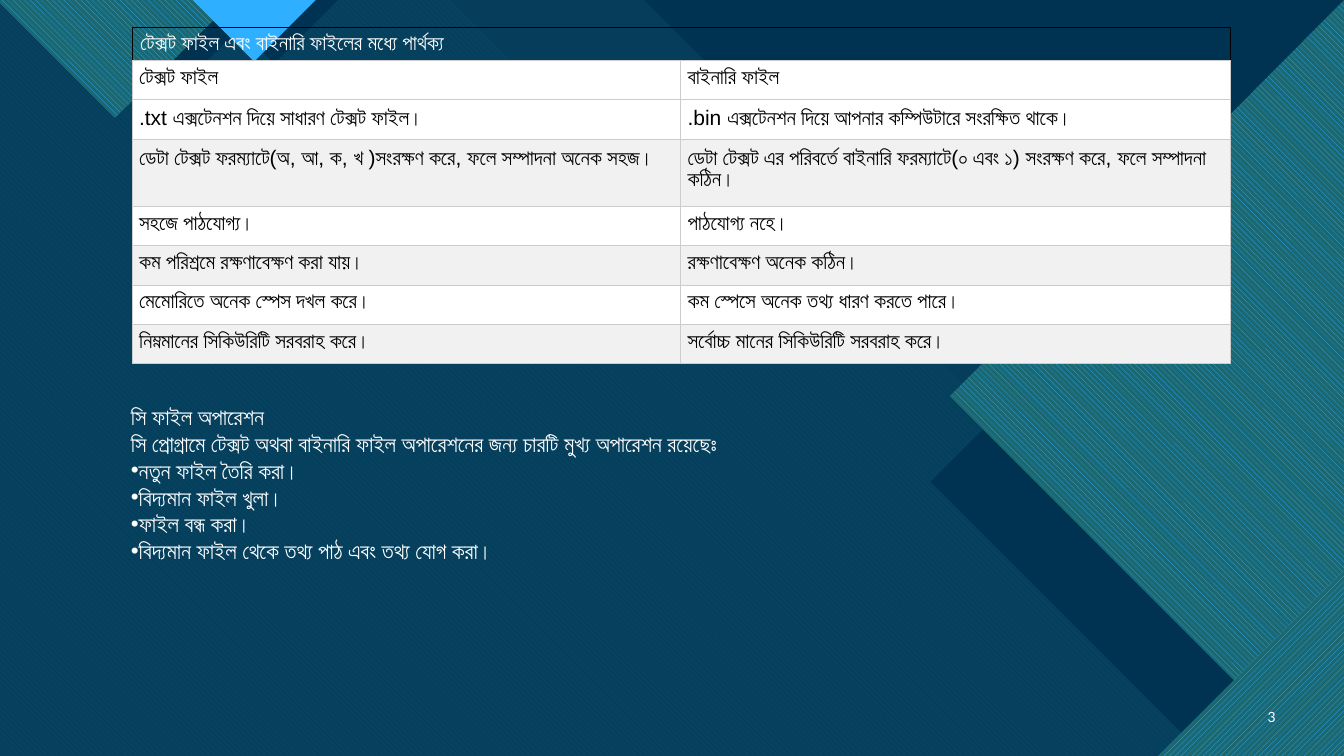
from dataclasses import dataclass
from math import cos, radians, sin
from typing import Optional

from lxml import etree
from pptx import Presentation
from pptx.dml.color import RGBColor
from pptx.enum.dml import MSO_PATTERN
from pptx.enum.shapes import MSO_SHAPE
from pptx.enum.text import MSO_ANCHOR, PP_ALIGN
from pptx.oxml.ns import qn
from pptx.util import Inches, Pt

RECTANGLE = MSO_SHAPE.RECTANGLE
RIGHT_TRIANGLE = MSO_SHAPE.RIGHT_TRIANGLE
DOWN_DIAGONAL = MSO_PATTERN.WIDE_DOWNWARD_DIAGONAL
UP_DIAGONAL = MSO_PATTERN.WIDE_UPWARD_DIAGONAL
HORIZONTAL = MSO_PATTERN.DARK_HORIZONTAL
TOP, MIDDLE = MSO_ANCHOR.TOP, MSO_ANCHOR.MIDDLE
LEFT, RIGHT = PP_ALIGN.LEFT, PP_ALIGN.RIGHT


@dataclass(frozen=True)
class Theme:
    base: str = "0C4360"
    navy: str = "003352"
    aqua: str = "47C3D3"
    blue: str = "0065A4"
    sky: str = "2FAFFF"
    teal: str = "1B6872"
    white: str = "FFFFFF"
    black: str = "000000"
    stripe: str = "F1F1F1"
    grid: str = "CCCCCC"
    table_font: str = "Arial"
    body_font: str = "Open Sans"
    number_font: str = "Lato"
    table_size: int = 15
    body_size: int = 16
    number_size: int = 10


THEME = Theme()


@dataclass(frozen=True)
class Paint:
    color: str
    opacity: int = 100
    pattern: Optional[MSO_PATTERN] = None
    back: str = THEME.teal


@dataclass(frozen=True)
class Panel:
    points: tuple
    paint: Paint
    rotation: int = 0


NAVY = Paint(THEME.navy)
SKY_DOWN = Paint(THEME.sky, pattern=DOWN_DIAGONAL)
SKY_UP = Paint(THEME.sky, pattern=UP_DIAGONAL)
SKY_LINES = Paint(THEME.sky, pattern=HORIZONTAL)

BACK_PANELS = (
    Panel(((0, 0), (8.26, 0), (11.23, 2.97), (12.35, 2.97), (13.33, 3.96), (13.33, 7.5), (0, 7.5)),
          Paint(THEME.aqua, opacity=74)),
    Panel(((0, 0), (4.49, 0), (7.46, 2.97), (8.72, 2.97), (13.25, 7.5), (0, 7.5)),
          Paint(THEME.blue, pattern=DOWN_DIAGONAL, back=THEME.aqua), 270),
)
FRONT_PANELS = (
    Panel(((0, 0), (6.95, 0), (9.92, 2.97), (11.18, 2.97), (13.33, 5.13), (13.33, 7.5), (0, 7.5)),
          Paint(THEME.navy, opacity=90), 270),
    Panel(((13.33, 0.68), (13.33, 7.5), (11.95, 7.5), (9.23, 4.78)), NAVY, 45),
    Panel(((13.33, 0), (13.33, 7.5), (12.99, 7.5), (9.42, 3.93)), SKY_DOWN, 135),
    Panel(((13.33, 6.14), (13.33, 7.5), (11.97, 7.5)), NAVY, 45),
    Panel(((13.33, 5.66), (13.33, 7.5), (11.49, 7.5)), SKY_UP, 135),
    Panel(((2.66, 0), (1.47, 1.18), (0.29, 0)), NAVY, 315),
    Panel(((-0.03, 0), (1.14, 1.17), (2.32, 0)), SKY_DOWN, 45),
    Panel(((3.35, 0), (2.72, 0.63), (2.09, 0)), NAVY, 315),
    Panel(((1.91, 0), (2.52, 0.61), (3.13, 0)), SKY_LINES, 45),
)

TABLE_TITLE = "টেক্সট ফাইল এবং বাইনারি ফাইলের মধ্যে পার্থক্য"
TABLE_ROWS = (
    ("টেক্সট ফাইল", "বাইনারি ফাইল"),
    (".txt এক্সটেনশন দিয়ে সাধারণ টেক্সট ফাইল।", ".bin এক্সটেনশন দিয়ে আপনার কম্পিউটারে সংরক্ষিত থাকে।"),
    ("ডেটা টেক্সট ফরম্যাটে(অ, আ, ক, খ )সংরক্ষণ করে, ফলে সম্পাদনা অনেক সহজ।",
     "ডেটা টেক্সট এর পরিবর্তে বাইনারি ফরম্যাটে(০ এবং ১) সংরক্ষণ করে, ফলে সম্পাদনা কঠিন।"),
    ("সহজে পাঠযোগ্য।", "পাঠযোগ্য নহে।"),
    ("কম পরিশ্রমে রক্ষণাবেক্ষণ করা যায়।", "রক্ষণাবেক্ষণ অনেক কঠিন।"),
    ("মেমোরিতে অনেক স্পেস দখল করে।", "কম স্পেসে অনেক তথ্য ধারণ করতে পারে।"),
    ("নিম্নমানের সিকিউরিটি সরবরাহ করে।", "সর্বোচ্চ মানের সিকিউরিটি সরবরাহ করে।"),
)
ROW_HEIGHTS = (0.33, 0.38, 0.38, 0.67, 0.38, 0.38, 0.38, 0.38)
STRIPED_ROWS = (3, 5, 7)
COLUMN_WIDTHS = (5.44, 5.45)

INTRODUCTION = ("সি ফাইল অপারেশন",
                "সি প্রোগ্রামে টেক্সট অথবা বাইনারি ফাইল অপারেশনের জন্য চারটি মুখ্য অপারেশন রয়েছেঃ")
OPERATIONS = ("নতুন ফাইল তৈরি করা।", "বিদ্যমান ফাইল খুলা।", "ফাইল বন্ধ করা।",
              "বিদ্যমান ফাইল থেকে তথ্য পাঠ এবং তথ্য যোগ করা।")


def apply_paint(shape, paint: Paint) -> None:
    shape.shadow.inherit = False
    shape.line.fill.background()
    if paint.pattern is not None:
        shape.fill.patterned()
        shape.fill.pattern = paint.pattern
        shape.fill.fore_color.rgb = RGBColor.from_string(paint.color)
        shape.fill.back_color.rgb = RGBColor.from_string(paint.back)
        return
    shape.fill.solid()
    shape.fill.fore_color.rgb = RGBColor.from_string(paint.color)
    if paint.opacity < 100:
        color = shape._element.spPr.find(qn("a:solidFill"))[0]
        etree.SubElement(color, qn("a:alpha"), val=str(paint.opacity * 1000))


def turn(point: tuple, degrees: float) -> tuple:
    """Rotate a point clockwise about the slide's top-left corner."""
    x, y = point
    cosine, sine = cos(radians(degrees)), sin(radians(degrees))
    return x * cosine - y * sine, x * sine + y * cosine


def add_panel(slide, panel: Panel) -> None:
    """Draw a panel whose points give its place after rotation."""
    points = [turn(point, -panel.rotation) for point in panel.points]
    xs, ys = zip(*points)
    center = ((min(xs) + max(xs)) / 2, (min(ys) + max(ys)) / 2)
    center_x, center_y = turn(center, panel.rotation)
    corners = [(Inches(x), Inches(y)) for x, y in points]
    builder = slide.shapes.build_freeform(*corners[0])
    builder.add_line_segments(corners[1:], close=True)
    shape = builder.convert_to_shape()
    shape.left = Inches(center_x) - shape.width // 2
    shape.top = Inches(center_y) - shape.height // 2
    shape.rotation = panel.rotation
    apply_paint(shape, panel.paint)


def add_preset(slide, kind: MSO_SHAPE, box: tuple, paint: Paint):
    shape = slide.shapes.add_shape(kind, *map(Inches, box))
    apply_paint(shape, paint)
    return shape


def write_text(paragraph, text: str, *, font: str, size: int, color: str,
               align: PP_ALIGN = LEFT, bullet: bool = False) -> None:
    run = paragraph.add_run()
    run.text = text
    run.font.name = font
    run.font.size = Pt(size)
    run.font.color.rgb = RGBColor.from_string(color)
    paragraph.alignment = align
    if bullet:
        properties = paragraph._p.get_or_add_pPr()
        etree.SubElement(properties, qn("a:buFont"), typeface="Arial")
        etree.SubElement(properties, qn("a:buChar"), char="•")


def add_text_frame(slide, box: tuple, anchor: MSO_ANCHOR):
    frame = slide.shapes.add_textbox(*map(Inches, box)).text_frame
    frame.word_wrap = True
    frame.vertical_anchor = anchor
    return frame


def format_cell(cell, fill: Optional[str], border: str, margin: float) -> None:
    properties = cell._tc.get_or_add_tcPr()
    for side in ("lnL", "lnR", "lnT", "lnB"):
        line = etree.SubElement(properties, qn(f"a:{side}"), w=str(Pt(0.75)))
        solid = etree.SubElement(line, qn("a:solidFill"))
        etree.SubElement(solid, qn("a:srgbClr"), val=border)
    if fill is None:
        cell.fill.background()
    else:
        cell.fill.solid()
        cell.fill.fore_color.rgb = RGBColor.from_string(fill)
    cell.margin_left = cell.margin_right = Inches(margin)


def add_comparison_table(slide) -> None:
    table = slide.shapes.add_table(len(ROW_HEIGHTS), len(COLUMN_WIDTHS), Inches(1.31), Inches(0.27),
                                   Inches(sum(COLUMN_WIDTHS)), Inches(sum(ROW_HEIGHTS))).table
    table.first_row = table.horz_banding = False
    for column, width in zip(table.columns, COLUMN_WIDTHS):
        column.width = Inches(width)
    for row, height in zip(table.rows, ROW_HEIGHTS):
        row.height = Inches(height)
    title = table.cell(0, 0)
    title.merge(table.cell(0, 1))
    for cell in table.rows[0].cells:
        format_cell(cell, None, THEME.black, 0.08)
    title.margin_top = title.margin_bottom = Inches(0.04)
    title.vertical_anchor = MIDDLE
    write_text(title.text_frame.paragraphs[0], TABLE_TITLE, font=THEME.table_font,
               size=THEME.table_size, color=THEME.white)
    for row_index, texts in enumerate(TABLE_ROWS, start=1):
        fill = THEME.stripe if row_index in STRIPED_ROWS else THEME.white
        for column_index, text in enumerate(texts):
            cell = table.cell(row_index, column_index)
            format_cell(cell, fill, THEME.grid, 0.07)
            cell.margin_top = cell.margin_bottom = Inches(0.07)
            write_text(cell.text_frame.paragraphs[0], text, font=THEME.table_font,
                       size=THEME.table_size, color=THEME.black)


def add_operations(slide) -> None:
    frame = add_text_frame(slide, (1.2, 3.95, 9.39, 1.72), TOP)
    for index, text in enumerate(INTRODUCTION + OPERATIONS):
        paragraph = frame.add_paragraph() if index else frame.paragraphs[0]
        write_text(paragraph, text, font=THEME.body_font, size=THEME.body_size,
                   color=THEME.white, bullet=index >= len(INTRODUCTION))


def main() -> None:
    presentation = Presentation()
    presentation.slide_width, presentation.slide_height = Inches(13.33), Inches(7.5)
    slide = presentation.slides.add_slide(presentation.slide_layouts[6])
    add_preset(slide, RECTANGLE, (0, 0, 13.33, 7.5), Paint(THEME.base))
    for panel in BACK_PANELS:
        add_panel(slide, panel)
    corner = add_preset(slide, RIGHT_TRIANGLE, (6.4, -0.01, 6.92, 6.94), NAVY)
    corner.rotation = 90
    corner._element.spPr.find(qn("a:xfrm")).set("flipV", "1")
    for panel in FRONT_PANELS:
        add_panel(slide, panel)
    number = add_text_frame(slide, (12.31, 6.91, 0.44, 0.4), MIDDLE)
    write_text(number.paragraphs[0], "3", font=THEME.number_font, size=THEME.number_size,
               color=THEME.white, align=RIGHT)
    add_comparison_table(slide)
    add_operations(slide)
    presentation.save("out.pptx")


if __name__ == "__main__":
    main()
